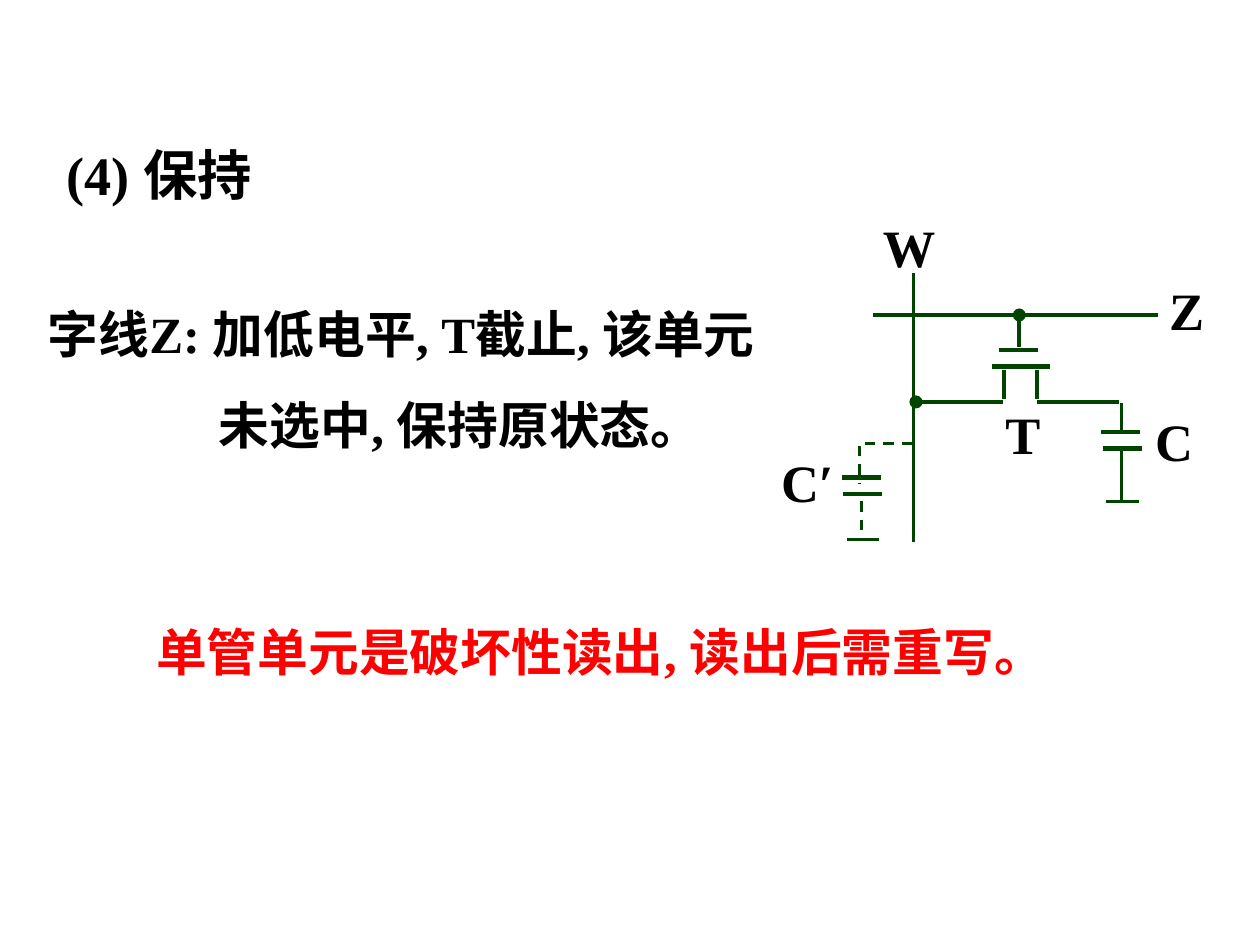
from pptx import Presentation, util as u
from pptx.dml.color import RGBColor
from pptx.enum import dml, text
from pptx.enum.shapes import MSO_CONNECTOR
from pptx.oxml.ns import qn
from lxml import etree

BLACK = RGBColor(0, 0, 0)
RED = RGBColor(255, 0, 0)
GREEN = RGBColor(0, 0x44, 0)
FONT = "Times New Roman"
COLS, ROWS = 100, 75
WIDE, HIGH = u.Inches(10), u.Inches(7.5)
THIN, MID, BOLD, FINE = 1.75, 2, 2.5, 1.5


def col(n):
    return round(WIDE * n / COLS)


def row(n):
    return round(HIGH * n / ROWS)


def label(slide, x, y, w, h, words, size=30, color=BLACK):
    box = slide.shapes.add_textbox(col(x), row(y), col(w), row(h))
    frame = box.text_frame
    frame.word_wrap = True
    frame.auto_size = text.MSO_AUTO_SIZE.SHAPE_TO_FIT_TEXT
    para = frame.paragraphs[0]
    run = para.add_run()
    run.text = words
    font = run.font
    font.name, font.size, font.bold = FONT, u.Pt(size), True
    font.color.rgb = color
    return para


def ink(line, width, dash=False):
    line.color.rgb = GREEN
    line.width = u.Pt(width)
    if dash:
        line.dash_style = dml.MSO_LINE.DASH


def wire(slide, x1, y1, x2, y2, width=BOLD, dash=False, dot=False):
    link = slide.shapes.add_connector(
        MSO_CONNECTOR.STRAIGHT, col(x1), row(y1), col(x2), row(y2))
    ink(link.line, width, dash)
    props = link.element.spPr
    if dot:
        head = etree.SubElement(props.find(qn("a:ln")), qn("a:headEnd"))
        head.set("type", "oval")
    etree.SubElement(props, qn("a:effectLst"))


def bend(slide, points):
    start, *rest = [(col(x), row(y)) for x, y in points]
    pen = slide.shapes.build_freeform(*start)
    pen.add_line_segments(rest, close=False)
    shape = pen.convert_to_shape()
    shape.shadow.inherit = False
    shape.fill.background()
    ink(shape.line, FINE, True)


def store(slide, x, y, top, foot, width, dash=False):
    """Capacitor: two plates, a lead from top to foot, and ground."""
    wire(slide, x, y, x + 3.1, y)
    wire(slide, x + 0.1, y + 1.3, x + 3.2, y + 1.3)
    wire(slide, x + 1.6, top, x + 1.6, foot, width, dash)
    wire(slide, x + 0.4, foot, x + 3, foot, MID)


def notes(slide):
    label(slide, 4.3, 10.7, 21.2, 6.2, "(4) 保持", 31)
    para = label(slide, 2.8, 21.1, 62, 14.7,
                 "字线Z: 加低电平, T截止, 该单元未选中, 保持原状态。", 29)
    para.line_spacing = 1.5
    props = para._p.get_or_add_pPr()
    props.set("marL", str(col(13.6)))
    props.set("indent", str(-col(13.6)))
    label(slide, 11.4, 48.8, 74, 5.9,
          "单管单元是破坏性读出, 读出后需重写。", 29, RED)


def cell(slide):
    # Word line and bit line
    wire(slide, 69.3, 25, 91.9, 25, THIN)
    wire(slide, 72.5, 21.7, 72.5, 43, THIN)

    # Transistor: gate, channel, legs, arms
    wire(slide, 80.9, 25, 80.9, 27.5, dot=True)
    wire(slide, 79.3, 27.8, 82.4, 27.8)
    wire(slide, 78.7, 29.1, 83.3, 29.1)
    for x in (79.7, 82.3):
        wire(slide, x, 29.4, x, 31.7)
    wire(slide, 72.7, 31.9, 79.6, 31.9, dot=True)
    wire(slide, 82.3, 31.9, 88.8, 31.9)

    # Storage capacitor
    wire(slide, 89, 32, 89, 34.2, THIN)
    store(slide, 87.4, 34.3, 35.8, 39.8, THIN)

    # Stray capacitor
    bend(slide, [(72.4, 35.2), (68.2, 35.2), (68.2, 38.4)])
    store(slide, 66.8, 37.9, 39.8, 42.8, FINE, True)

    # Names
    for name, x, y, w in (("C", 90.7, 32, 6.8), ("W", 69.1, 16.6, 8),
                          ("Z", 91.8, 21.6, 6.8), ("T", 78.8, 31.4, 6.9),
                          ("C′", 61, 35.2, 6.8)):
        label(slide, x, y, w, 6, name)


def main():
    deck = Presentation()
    deck.slide_width, deck.slide_height = WIDE, HIGH
    slide = deck.slides.add_slide(deck.slide_layouts[6])
    notes(slide)
    cell(slide)
    deck.save("out.pptx")


if __name__ == "__main__":
    main()
